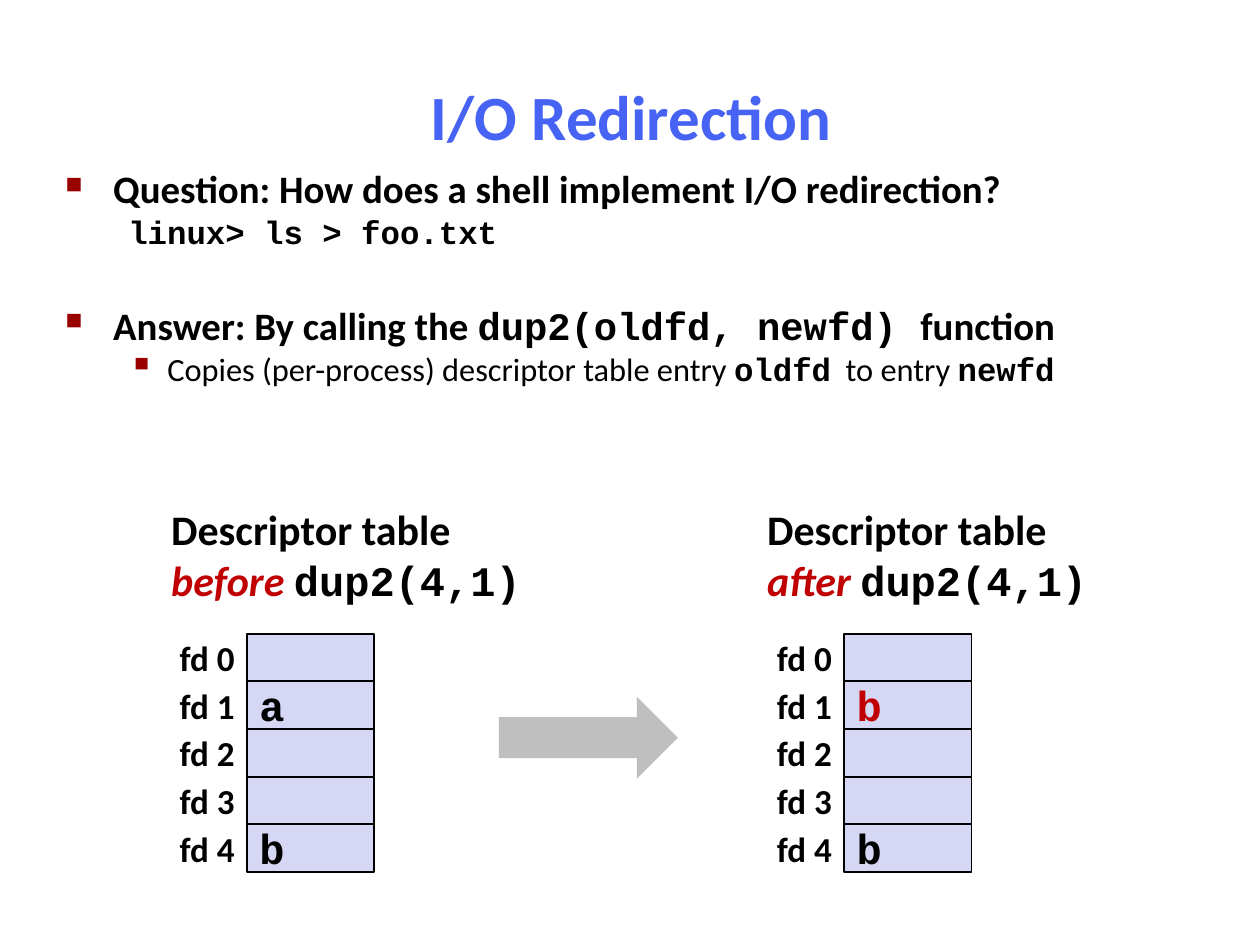
from dataclasses import dataclass

from lxml import etree
from pptx import Presentation
from pptx.dml.color import RGBColor
from pptx.enum.shapes import MSO_SHAPE
from pptx.enum.text import MSO_ANCHOR, PP_ALIGN
from pptx.oxml.ns import qn
from pptx.util import Inches, Pt

RECT, ARROW = MSO_SHAPE.RECTANGLE, MSO_SHAPE.RIGHT_ARROW
LEFT, CENTER, RIGHT = PP_ALIGN.LEFT, PP_ALIGN.CENTER, PP_ALIGN.RIGHT
TOP, MIDDLE = MSO_ANCHOR.TOP, MSO_ANCHOR.MIDDLE


@dataclass(frozen=True)
class Theme:
    black: str = "000000"
    title: str = "4763F3"
    accent: str = "C00000"
    bullet: str = "990000"
    cell: str = "D6D6F5"
    arrow: str = "BFBFBF"
    sans: str = "Calibri"
    mono: str = "Courier New"
    title_size: float = 36
    heading_size: float = 24
    label_size: float = 20
    body_size: float = 22.2
    sub_size: float = 18.5


T = Theme()


def write(shape, paragraphs, size, align=LEFT, anchor=MIDDLE, wrap=False):
    tf = shape.text_frame
    tf.word_wrap = wrap
    tf.vertical_anchor = anchor
    for i, runs in enumerate(paragraphs):
        p = tf.paragraphs[0] if i == 0 else tf.add_paragraph()
        p.alignment = align
        for text, font, color, bold, italic in runs:
            r = p.add_run()
            r.text = text
            r.font.name = font
            r.font.size = Pt(size)
            r.font.bold = bold
            r.font.italic = italic
            r.font.color.rgb = RGBColor.from_string(color)
    return tf


def format_body(p, level, before, bullet, bullet_size, size):
    pPr = p._p.get_or_add_pPr()
    margin, indent = ((0.38, -0.38), (0.81, -0.31))[level]
    pPr.set("marL", str(Inches(margin)))
    pPr.set("indent", str(Inches(indent)))
    if bullet:
        clr = etree.SubElement(pPr, qn("a:buClr"))
        etree.SubElement(clr, qn("a:srgbClr"), val=T.bullet)
        etree.SubElement(pPr, qn("a:buSzPct"), val=str(bullet_size * 1000))
        etree.SubElement(pPr, qn("a:buChar"), char=bullet)
    p.level = level
    p.line_spacing = 0.8
    p.space_before = Pt(before)
    for r in p.runs:
        r.font.size = Pt(size)


prs = Presentation()
prs.slide_width, prs.slide_height = Inches(10), Inches(7.5)
s = prs.slides.add_slide(prs.slide_layouts[6])

title = s.shapes.add_textbox(Inches(0.86), Inches(0.5), Inches(8.3), Inches(0.83))
write(title, [[("I/O Redirection", T.sans, T.title, True, False)]],
      T.title_size, CENTER, wrap=True)

body = s.shapes.add_textbox(Inches(0.42), Inches(1.33), Inches(9.08), Inches(2.08))
tf = write(body, [
    [("Question: How does a shell implement I/O redirection?", T.sans, T.black, True, False)],
    [("linux> ls > foo.txt", T.mono, T.black, True, False)],
    [("Answer: By calling the ", T.sans, T.black, True, False),
     ("dup2(oldfd, newfd) ", T.mono, T.black, True, False),
     ("function", T.sans, T.black, True, False)],
    [("Copies (per-process) descriptor table entry ", T.sans, T.black, False, False),
     ("oldfd", T.mono, T.black, True, False),
     ("  to entry ", T.sans, T.black, False, False),
     ("newfd", T.mono, T.black, True, False)],
], T.body_size, anchor=TOP, wrap=True)
formats = [
    (0, 0, "■", 60, T.body_size),
    (1, 5, None, None, T.sub_size),
    (0, 34, "■", 60, T.body_size),
    (1, 5, "▪", 110, T.sub_size),
]
for p, fmt in zip(tf.paragraphs, formats):
    format_body(p, *fmt)

table_top, cell_w, cell_h = 5.03, 1.01, 0.378
tables = [
    (1.96, 1.26, 2.98, "before ", {1: ("a", T.black), 4: ("b", T.black)}),
    (6.7, 5.99, 2.74, "after ", {1: ("b", T.accent), 4: ("b", T.black)}),
]
for x, heading_x, heading_w, moment, entries in tables:
    for fd in range(5):
        y = table_top + fd * cell_h
        cell = s.shapes.add_shape(RECT, Inches(x), Inches(y), Inches(cell_w), Inches(cell_h))
        cell.shadow.inherit = False
        cell.fill.solid()
        cell.fill.fore_color.rgb = RGBColor.from_string(T.cell)
        cell.line.color.rgb = RGBColor.from_string(T.black)
        cell.line.width = Pt(1)
        if fd in entries:
            text, color = entries[fd]
            write(cell, [[(text, T.mono, color, True, False)]], T.heading_size)
        label = s.shapes.add_textbox(Inches(x - cell_w), Inches(y), Inches(cell_w), Inches(cell_h))
        write(label, [[(f"fd {fd}", T.sans, T.black, True, False)]], T.label_size, RIGHT)
    heading = s.shapes.add_textbox(Inches(heading_x), Inches(3.95), Inches(heading_w), Inches(0.9))
    write(heading, [
        [("Descriptor table", T.sans, T.black, True, False)],
        [(moment, T.sans, T.accent, True, True),
         ("dup2(4,1)", T.mono, T.black, True, False)],
    ], T.heading_size)

arrow = s.shapes.add_shape(ARROW, Inches(3.96), Inches(5.53), Inches(1.42), Inches(0.65))
arrow.shadow.inherit = False
arrow.fill.solid()
arrow.fill.fore_color.rgb = RGBColor.from_string(T.arrow)
arrow.line.fill.background()

prs.save("out.pptx")
